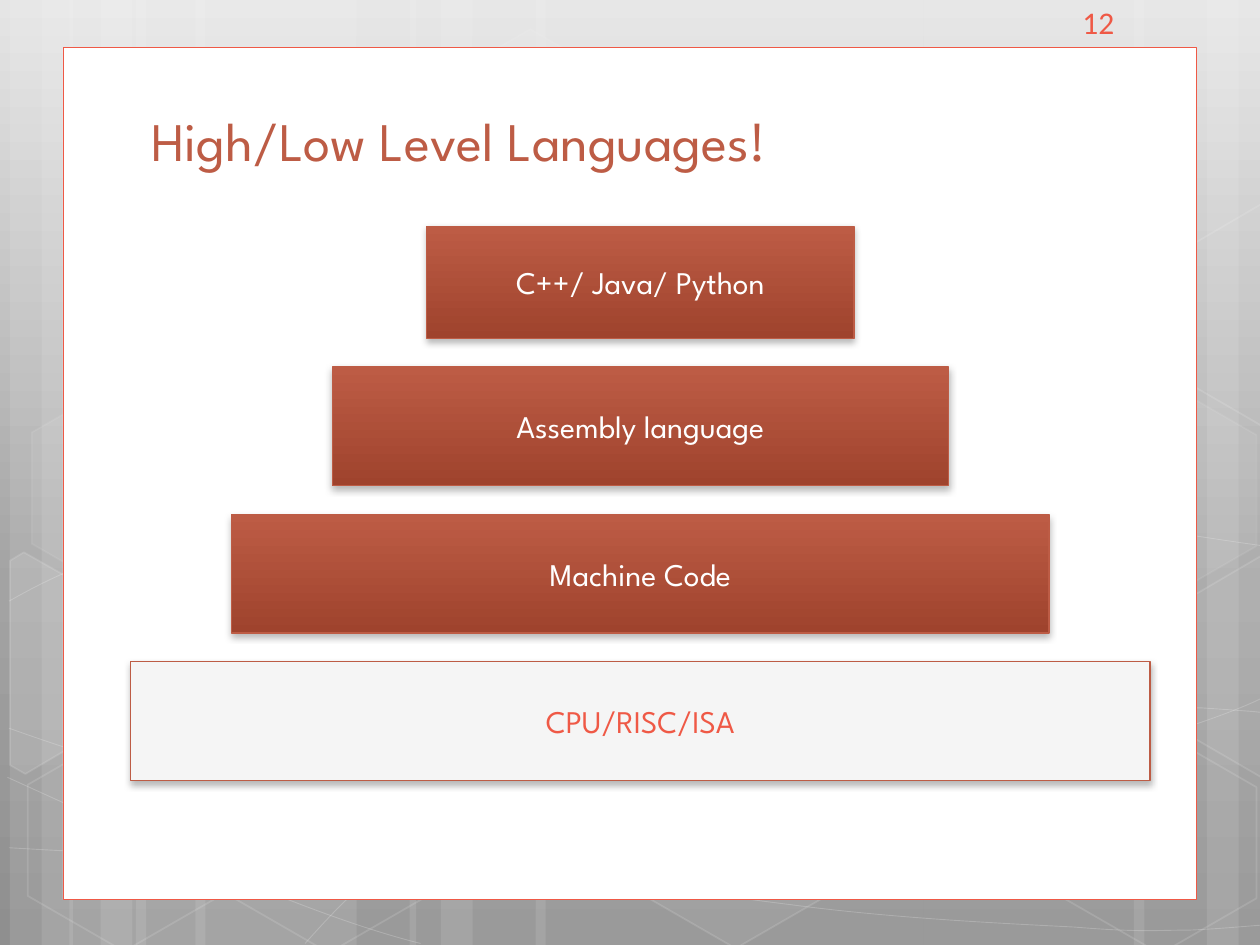
from copy import deepcopy
from math import cos, radians, sin

from lxml import etree
from pptx import Presentation, util as u
from pptx.dml.color import RGBColor
from pptx.enum import shapes, text
from pptx.oxml.ns import qn

theme = {
    "white": RGBColor.from_string("FFFFFF"),
    "coral": RGBColor.from_string("EF5946"),
    "rust": RGBColor.from_string("BD5C45"),
    "pale": RGBColor.from_string("F5F5F5"),
    "backdrop": [(0, "E5E5E5"), (0.62, "A3A3A3"), (1, "8F8F8F")],
    "bar": [(0, "BD5C45"), (1, "9F432D")],
    "heading": "League Spartan",
    "number": "Calibri",
    "title_size": u.Pt(31),
    "body_size": u.Pt(18),
}

deck = Presentation()
deck.slide_width, deck.slide_height = u.Cm(25.4), u.Cm(19.05)
page = deck.slides.add_slide(deck.slide_layouts[6])
canvas = page.shapes


def set_gradient(fill, stops):
    fill.gradient()
    fill.gradient_angle = 270
    first = fill.gradient_stops[0]._gs
    for extra in range(len(stops) - 2):
        first.addnext(deepcopy(first))
    for stop, (position, colour) in zip(fill.gradient_stops, stops):
        stop.position = position
        stop.color.rgb = RGBColor.from_string(colour)


def set_white(fill, opacity):
    fill.solid()
    fill.fore_color.rgb = theme["white"]
    colour = fill._xPr.find(".//" + qn("a:srgbClr"))
    etree.SubElement(colour, qn("a:alpha"), val=str(opacity * 1000))


set_gradient(page.background.fill, theme["backdrop"])

bands = [
    (2.74, 4.45), (0.2, 1.27), (0.84, 2.11), (3.94, 4.45), (1.4, 1.27),
    (2.03, 2.11), (18.62, 4.45), (24.33, 1.27), (22.86, 2.11),
    (10.8, 7.82), (8.26, 1.27), (8.89, 2.11),
]
for left, width in bands:
    band = canvas.add_shape(shapes.MSO_SHAPE.RECTANGLE, u.Cm(left), 0,
                            u.Cm(width), deck.slide_height)
    band.shadow.inherit = False
    band.line.fill.background()
    set_white(band.fill, 10)

curves = [
    [(0.18, 17.09), (1.55, 17.17), (2.92, 17.25), (4.83, 17.22),
     (6.73, 17.2), (9.09, 17.15), (11.63, 16.89), (14.17, 16.64),
     (17.78, 16.15), (20.12, 15.67), (22.43, 15.19), (24.82, 14.43), (25.58, 14)],
    [(0.18, 12.12), (0.91, 11.71), (1.65, 11.33), (3.07, 10.95),
     (4.52, 10.57), (6.58, 10.01), (8.81, 9.83), (11.07, 9.65),
     (13.82, 9.63), (16.61, 9.83), (19.41, 10.03), (24.05, 10.82), (25.58, 11.02)],
    [(0.15, 15.67), (3.23, 17.07), (6.27, 18.47), (8.48, 19.02)],
    [(0.18, 14.68), (0.97, 14.96), (1.78, 15.24), (3.25, 15.65),
     (4.72, 16.03), (6.93, 16.66), (9.07, 17.09), (11.18, 17.53),
     (13.84, 17.98), (15.95, 18.24), (18.06, 18.52), (20.32, 18.62),
     (21.67, 18.69), (22.99, 18.8), (23.34, 18.75), (24, 18.75),
     (24.66, 18.72), (25.12, 18.67), (25.58, 18.64)],
    [(6.15, 19.02), (6.6, 18.52), (7.06, 18.01), (7.67, 17.55),
     (8.28, 17.09), (9.14, 16.59), (9.86, 16.23), (10.57, 15.88),
     (11, 15.72), (11.94, 15.47), (12.85, 15.21), (14.55, 14.86),
     (15.44, 14.68), (16.36, 14.5), (16.48, 14.5), (17.27, 14.45),
     (18.06, 14.38), (19.3, 14.3), (20.17, 14.27), (21.06, 14.25),
     (22.5, 14.27), (22.5, 14.27), (23.1, 14.27), (23.6, 14.27),
     (24.21, 14.27), (24.66, 14.3), (25.1, 14.33), (25.32, 14.35),
     (25.55, 14.38), (25.48, 14.35), (25.55, 14.38)],
]
outlines = [(curve, None, 0, 20, 0.5) for curve in curves]

full = [(-1.94, -1.12), (0, -2.24), (1.94, -1.12), (1.94, 1.12), (0, 2.24), (-1.94, 1.12)]
left_cut = [(-0.71, -2.29), (-0.43, -2.46), (1.53, -1.35), (1.5, 0.89), (-0.4, 2.01), (-0.71, 1.83)]
right_cut = [(-1.5, -0.89), (0.41, -2.01), (0.61, -1.88), (0.61, 2.36), (0.43, 2.46), (-1.5, 1.34)]
hexagons = [
    (full, 10.69, 2.83, 4, 8), (full, 14.83, 16.88, 6, 12),
    (left_cut, 0.91, 13.59, 10, 12), (full, 2.5, 16.94, 0, 12),
    (full, 2.58, 9.84, 7, 8), (full, 6.63, 16.97, 0, 12),
    (full, 21.34, 13.44, 10, 12), (full, 23.39, 16.99, 0, 12),
    (full, 23.39, 9.89, 7, 8), (right_cut, 25.02, 13.21, 4, 12),
    (right_cut, 25.02, 6.12, 0, 12),
]
tilt = 30
c, s = cos(radians(tilt)), sin(radians(tilt))
for corners, x, y, fill, line in hexagons:
    upright = [(x + dx * c + dy * s, y - dx * s + dy * c) for dx, dy in corners]
    outlines.append((upright, tilt, fill, line, 1))

for points, angle, fill, line, weight in outlines:
    places = [(u.Cm(x), u.Cm(y)) for x, y in points]
    builder = canvas.build_freeform(*places[0])
    builder.add_line_segments(places[1:], close=angle is not None)
    outline = builder.convert_to_shape()
    outline.shadow.inherit = False
    if angle is None:
        steps = list(outline._element.iter(qn("a:lnTo")))
        for first, second, third in zip(steps[::3], steps[1::3], steps[2::3]):
            first.tag = qn("a:cubicBezTo")
            for step in (second, third):
                first.append(step[0])
                step.getparent().remove(step)
    else:
        outline.rotation = angle
    if fill:
        set_white(outline.fill, fill)
    else:
        outline.fill.background()
    outline.line.width = u.Pt(weight)
    set_white(outline.line.fill, line)

panel = canvas.add_shape(shapes.MSO_SHAPE.RECTANGLE, u.Cm(1.27), u.Cm(0.96), u.Cm(22.86), u.Cm(17.17))
panel.shadow.inherit = False
panel.fill.solid()
panel.fill.fore_color.rgb = theme["white"]
panel.line.color.rgb = theme["coral"]
panel.line.width = u.Pt(0.5)

labels = [
    ("High/Low Level Languages!", 2.92, 2.01, 19.94, 1.6, "heading", "title_size", "rust", True),
    ("12", 21.69, -0.06, 0.99, 1.04, "number", "body_size", "coral", False),
]
for words, left, top, width, height, face, size, colour, is_title in labels:
    box = canvas.add_textbox(u.Cm(left), u.Cm(top), u.Cm(width), u.Cm(height))
    frame = box.text_frame
    frame.word_wrap = is_title
    frame.vertical_anchor = text.MSO_ANCHOR.BOTTOM if is_title else text.MSO_ANCHOR.TOP
    frame.margin_left = frame.margin_right = frame.margin_top = frame.margin_bottom = u.Cm(0.13)
    para = frame.paragraphs[0]
    para.text = words
    para.font.name, para.font.size = theme[face], theme[size]
    para.font.color.rgb = theme[colour]

levels = [
    ("C++/ Java/ Python", 8.61, 2.26, "white"),
    ("Assembly language", 12.42, 2.39, "white"),
    ("Machine Code", 16.48, 2.39, "white"),
    ("CPU/RISC/ISA", 20.55, 2.39, "coral"),
]
centre, top, gap = 12.91, 4.56, 0.58
for words, width, height, colour in levels:
    level = canvas.add_shape(shapes.MSO_SHAPE.RECTANGLE, u.Cm(centre - width / 2),
                             u.Cm(top), u.Cm(width), u.Cm(height))
    top += height + gap
    if colour == "white":
        set_gradient(level.fill, theme["bar"])
    else:
        level.fill.solid()
        level.fill.fore_color.rgb = theme["pale"]
    level.line.color.rgb = theme["rust"]
    level.line.width = u.Pt(0.75)
    level.shadow.inherit = False
    effects = level._element.spPr.find(qn("a:effectLst"))
    shadow = etree.SubElement(effects, qn("a:outerShdw"), blurRad=str(u.Pt(4)),
                              dist=str(u.Pt(2)), dir="5400000", rotWithShape="0")
    shade = etree.SubElement(shadow, qn("a:srgbClr"), val="000000")
    etree.SubElement(shade, qn("a:alpha"), val="28000")
    frame = level.text_frame
    frame.vertical_anchor = text.MSO_ANCHOR.MIDDLE
    para = frame.paragraphs[0]
    para.text = words
    para.alignment = text.PP_ALIGN.CENTER
    para.font.name, para.font.size = theme["heading"], theme["body_size"]
    para.font.color.rgb = theme[colour]

deck.save("out.pptx")
